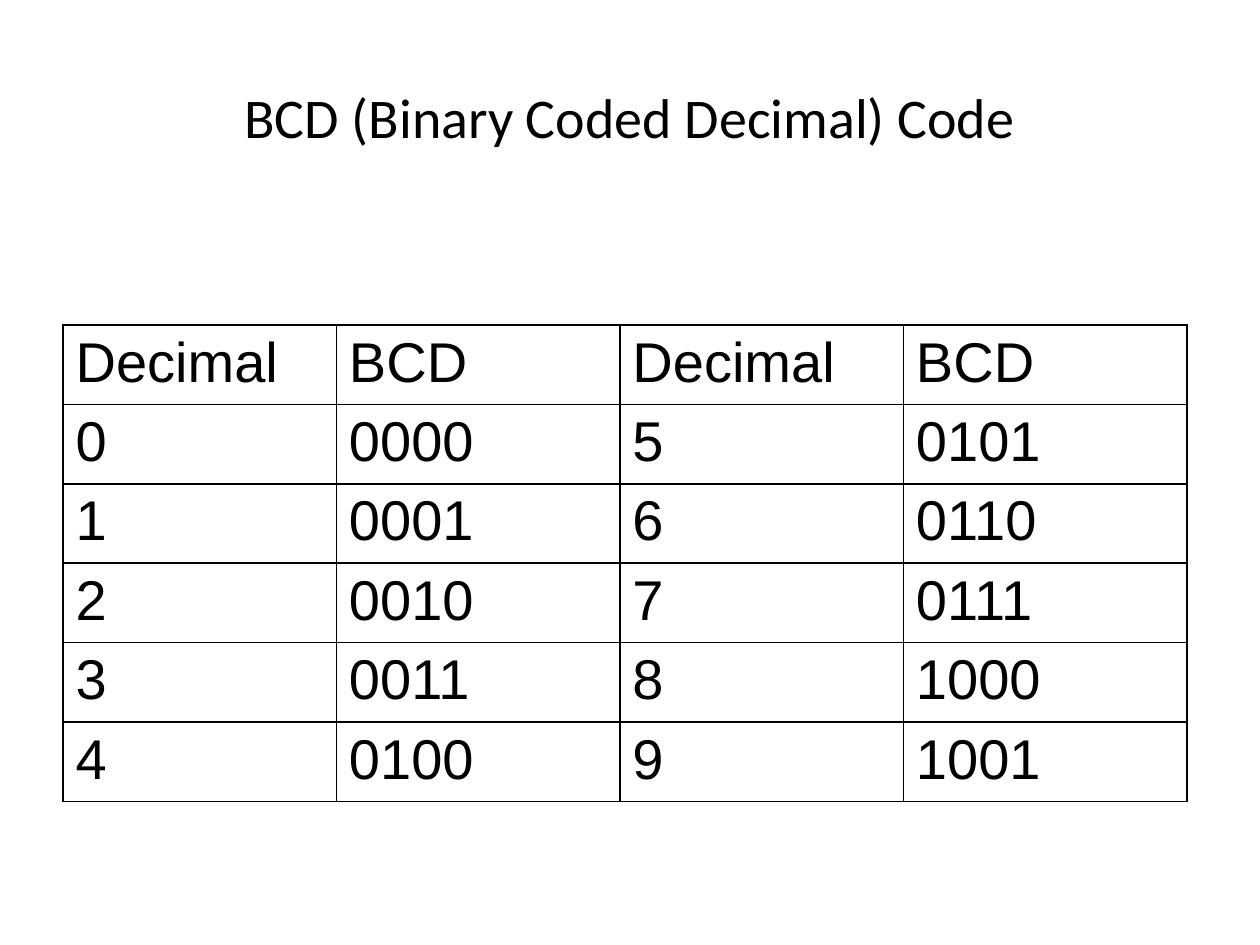
from pptx import Presentation
from pptx.dml.color import RGBColor
from pptx.enum.text import MSO_ANCHOR, PP_ALIGN
from pptx.oxml.ns import qn
from pptx.util import Inches, Pt
from lxml.etree import SubElement

BLACK = "000000"
HEADINGS = ["Decimal", "BCD"]
DIGITS_PER_COLUMN = 5
COLUMN_WIDTHS = [2.17, 2.25, 2.25, 2.25]
ROW_HEIGHT = 0.63


def color(value):
    return RGBColor.from_string(value)


def write_text(frame, text, font="Arial", size=32, fill=BLACK,
               align=PP_ALIGN.LEFT, hanging=0):
    para = frame.paragraphs[0]
    para.alignment = align
    if hanging:
        properties = para._p.get_or_add_pPr()
        properties.set("marL", str(Inches(hanging)))
        properties.set("indent", str(-Inches(hanging)))
    span = para.add_run()
    span.text = text
    span.font.name = font
    span.font.size = Pt(size)
    span.font.bold = False
    span.font.color.rgb = color(fill)


def add_borders(cell, line_color=BLACK, width=1):
    properties = cell._tc.get_or_add_tcPr()
    for side in ("a:lnL", "a:lnR", "a:lnT", "a:lnB"):
        line = SubElement(properties, qn(side), w=str(Pt(width)))
        fill = SubElement(line, qn("a:solidFill"))
        SubElement(fill, qn("a:srgbClr"), val=line_color)


def place_title(page, left, top, width, height):
    title = page.shapes.title
    title.left, title.top = Inches(left), Inches(top)
    title.width, title.height = Inches(width), Inches(height)
    title.text_frame.vertical_anchor = MSO_ANCHOR.MIDDLE
    write_text(title.text_frame, "BCD (Binary Coded Decimal) Code",
               font="Calibri", align=PP_ALIGN.CENTER)


def code_rows():
    """Pair each digit with its four-bit code, two digits to a row."""
    rows = [HEADINGS * 2]
    for digit in range(DIGITS_PER_COLUMN):
        pair = (digit, digit + DIGITS_PER_COLUMN)
        rows.append([text for n in pair for text in (str(n), f"{n:04b}")])
    return rows


def add_code_table(page, left, top):
    rows = code_rows()
    table = page.shapes.add_table(
        len(rows), len(COLUMN_WIDTHS), Inches(left), Inches(top),
        Inches(sum(COLUMN_WIDTHS)), Inches(ROW_HEIGHT * len(rows))).table
    table.first_row = False
    table.horz_banding = False
    for column, width in zip(table.columns, COLUMN_WIDTHS):
        column.width = Inches(width)
    for row, texts in zip(table.rows, rows):
        row.height = Inches(ROW_HEIGHT)
        for index, (cell, text) in enumerate(zip(row.cells, texts)):
            add_borders(cell)
            cell.fill.background()
            write_text(cell.text_frame, text, hanging=0 if index else 0.38)


def main():
    deck = Presentation()
    deck.slide_width, deck.slide_height = Inches(10), Inches(7.5)
    page = deck.slides.add_slide(deck.slide_layouts.get_by_name("Title Only"))
    place_title(page, 0.5, 0.3, 9, 1.25)
    add_code_table(page, 0.5, 2.58)
    deck.save("out.pptx")


if __name__ == "__main__":
    main()
